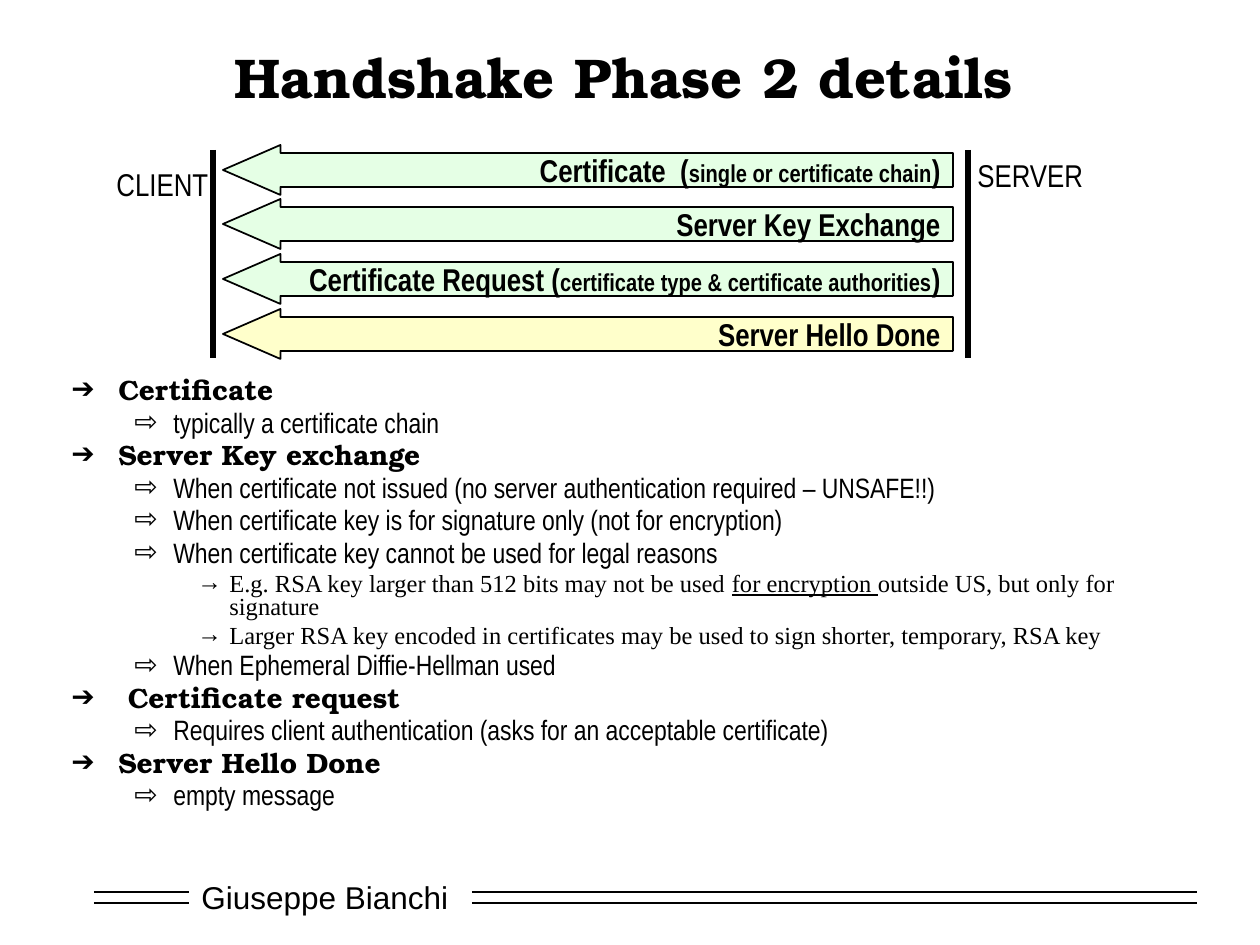
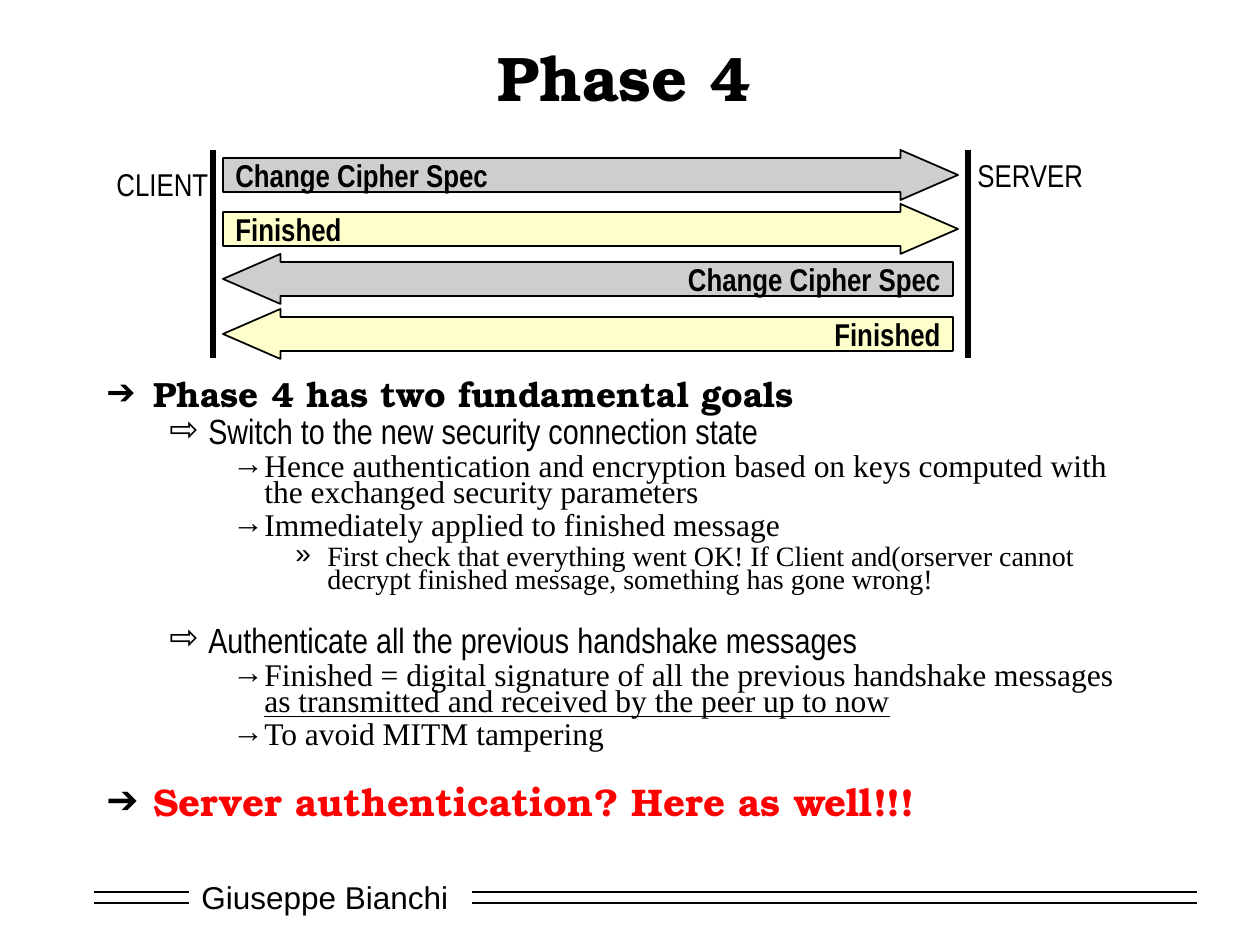
from lxml import etree
from pptx import Presentation
from pptx import util as u
from pptx.dml.color import RGBColor
from pptx.enum import shapes, text
from pptx.oxml.ns import qn

PX = 914400 / 126
BLACK, WHITE, RED = "000000", "FFFFFF", "FF0000"
GREEN, YELLOW, GRAY = "CCFFCC", "FFFF99", "CECECE"
SERIF_BOLD, NARROW, ROMAN = "TeX Gyre Bonum", "Arial Narrow", "Times New Roman"
LEFT, CENTER, RIGHT = text.PP_ALIGN.LEFT, text.PP_ALIGN.CENTER, text.PP_ALIGN.RIGHT
MIDDLE = text.MSO_ANCHOR.MIDDLE

# One entry per outline level: bullet, font, text start and hanging width in px
LEVELS = [
    ("➔", SERIF_BOLD, 47, 47),
    ("⇨", NARROW, 102, 39),
    ("→", ROMAN, 158, 32),
    ("»", ROMAN, 221, 32),
]

# Rows are level, size, text or spans, and optional extras
PHASE_2_NOTES = [
    (0, 16, "Certificate"),
    (1, 16, "typically a certificate chain"),
    (0, 16, "Server Key exchange"),
    (1, 16, "When certificate not issued (no server authentication required – UNSAFE!!)"),
    (1, 16, "When certificate key is for signature only (not for encryption)"),
    (1, 16, "When certificate key cannot be used for legal reasons"),
    (2, 14, [("E.g. RSA key larger than 512 bits may not be used ", {}),
             ("for encryption ", {"underline": True}),
             ("outside US, but only for signature", {})]),
    (2, 14, "Larger RSA key encoded in certificates may be used to sign shorter, "
            "temporary, RSA key"),
    (1, 16, "When Ephemeral Diffie-Hellman used"),
    (0, 16, " Certificate request"),
    (1, 16, "Requires client authentication (asks for an acceptable certificate)"),
    (0, 16, "Server Hello Done"),
    (1, 16, "empty message"),
]
PHASE_4_NOTES = [
    (0, 20, "Phase 4 has two fundamental goals"),
    (1, 20, "Switch to the new security connection state"),
    (2, 18, "Hence authentication and encryption based on keys computed with "
            "the exchanged security parameters"),
    (2, 18, "Immediately applied to finished message"),
    (3, 16, "First check that everything went OK! If Client and(orserver cannot "
            "decrypt finished message, something has gone wrong!"),
    (1, 20, "Authenticate all the previous handshake messages", {"gap": 20}),
    (2, 18, [("Finished = digital signature of all the previous handshake messages ", {}),
             ("as transmitted and received by the peer up to now", {"underline": True})]),
    (2, 18, "To avoid MITM tampering"),
    (0, 22, "Server authentication? Here as well!!!", {"gap": 23, "color": RED}),
]


def px(length):
    return u.Emu(round(length * PX))


def rgb(color):
    return RGBColor.from_string(color)


def write(para, content, size=18, font=NARROW, color=BLACK, bold=False, align=LEFT):
    """Fill a paragraph from a string or from (text, overrides) spans."""
    para.alignment = align
    spans = [(content, {})] if isinstance(content, str) else content
    for words, changes in spans:
        span = para.add_run()
        span.text = words
        span.font.name = font
        span.font.size = u.Pt(changes.get("size", size))
        span.font.bold = bold
        span.font.underline = changes.get("underline", False)
        span.font.color.rgb = rgb(color)


def add_label(page, left, top, width, height, content, wrap=True, anchor=None, **style):
    box = page.shapes.add_textbox(px(left), px(top), px(width), px(height))
    box.text_frame.word_wrap = wrap
    if anchor is not None:
        box.text_frame.vertical_anchor = anchor
    write(box.text_frame.paragraphs[0], content, **style)


def add_line(page, x1, y1, x2, y2, weight):
    line = page.shapes.add_connector(
        shapes.MSO_CONNECTOR.STRAIGHT, px(x1), px(y1), px(x2), px(y2))
    line.line.color.rgb = rgb(BLACK)
    line.line.width = u.Pt(weight)
    etree.SubElement(line._element.spPr, qn("a:effectLst"))


def add_message(page, row, content, fill, to_server=False):
    """Draw one arrow between the client and server lifelines."""
    kind = shapes.MSO_SHAPE.RIGHT_ARROW if to_server else shapes.MSO_SHAPE.LEFT_ARROW
    top = 145 + row * 164 // 3 + (5 if to_server else 0)
    arrow = page.shapes.add_shape(
        kind, px(223), px(top), px(735 if to_server else 730), px(50))
    arrow.adjustments[0], arrow.adjustments[1] = 0.68, 1.15
    arrow.shadow.inherit = False
    arrow.fill.solid()
    arrow.fill.fore_color.rgb = rgb(fill)
    if fill != GRAY:
        paint = arrow._element.spPr.find(qn("a:solidFill"))[0]
        etree.SubElement(paint, qn("a:alpha"), val="50000")
    arrow.line.color.rgb = rgb(BLACK)
    arrow.line.width = u.Pt(1)
    frame = arrow.text_frame
    frame.word_wrap = False
    frame.vertical_anchor = MIDDLE
    write(frame.paragraphs[0], content, bold=True, align=LEFT if to_server else RIGHT)


def set_bullet(para, level, first):
    """Set the hanging indent, the proportional space before and the bullet."""
    mark, _, start, hang = LEVELS[level]
    para.level = level
    props = para._p.get_or_add_pPr()
    props.set("marL", str(px(start)))
    props.set("indent", str(-px(hang)))
    before = etree.SubElement(props, qn("a:spcBef"))
    etree.SubElement(before, qn("a:spcPct"), val="0" if first else "20000")
    tint = etree.SubElement(props, qn("a:buClr"))
    etree.SubElement(tint, qn("a:srgbClr"), val=BLACK)
    etree.SubElement(props, qn("a:buFont"), typeface="Arial")
    etree.SubElement(props, qn("a:buChar"), char=mark)


def add_notes(page, left, top, width, height, rows, spacing):
    box = page.shapes.add_textbox(px(left), px(top), px(width), px(height))
    frame = box.text_frame
    frame.word_wrap = True
    for index, (level, size, content, *extras) in enumerate(rows):
        extra = extras[0] if extras else {}
        para = frame.add_paragraph() if index else frame.paragraphs[0]
        set_bullet(para, level, first=index == 0)
        para.line_spacing = spacing
        if "gap" in extra:
            para.space_before = u.Pt(extra["gap"])
        write(para, content, size=size, font=LEVELS[level][1], bold=level == 0,
              color=extra.get("color", BLACK))


def add_footer(page):
    add_label(page, 189, 872, 273, 50, "Giuseppe Bianchi", font="Arial", anchor=MIDDLE)
    for y in (892, 903):
        for start, end in ((94, 189), (472, 1197)):
            add_line(page, start, y, end, y, 1)


def add_page(deck, title, title_size):
    """Add a page with its footer, title, and client and server lifelines."""
    page = deck.slides.add_slide(deck.slide_layouts[6])
    page.background.fill.solid()
    page.background.fill.fore_color.rgb = rgb(WHITE)
    add_footer(page)
    add_label(page, 94, 31, 1061, 90, title, size=title_size, font=SERIF_BOLD,
              bold=True, align=CENTER, anchor=MIDDLE)
    add_label(page, 104, 159, 117, 50, "CLIENT", wrap=False)
    add_label(page, 965, 150, 132, 50, "SERVER", wrap=False)
    for x in (213, 968):
        add_line(page, x, 150, x, 358, 3)
    return page


def add_phase_2(deck):
    page = add_page(deck, "Handshake Phase 2 details", 32)
    small = {"size": 14}
    messages = [
        ([("Certificate  (", {}), ("single or certificate chain", small), (")", {})], GREEN),
        ("Server Key Exchange", GREEN),
        ([("Certificate Request (", {}),
          ("certificate type & certificate authorities", small), (")", {})], GREEN),
        ("Server Hello Done", YELLOW),
    ]
    for row, (content, fill) in enumerate(messages):
        add_message(page, row, content, fill)
    add_notes(page, 59, 373, 1101, 496, PHASE_2_NOTES, 0.8)


def add_phase_4(deck):
    page = add_page(deck, "Phase 4", 36)
    messages = [("Change Cipher Spec", GRAY), ("Finished", YELLOW)] * 2
    for row, (content, fill) in enumerate(messages):
        add_message(page, row, content, fill, to_server=row < 2)
    add_notes(page, 94, 378, 1061, 491, PHASE_4_NOTES, 0.7)


def main():
    deck = Presentation()
    deck.slide_width, deck.slide_height = px(1260), px(945)
    add_phase_2(deck)
    add_phase_4(deck)
    deck.save("out.pptx")


if __name__ == "__main__":
    main()
